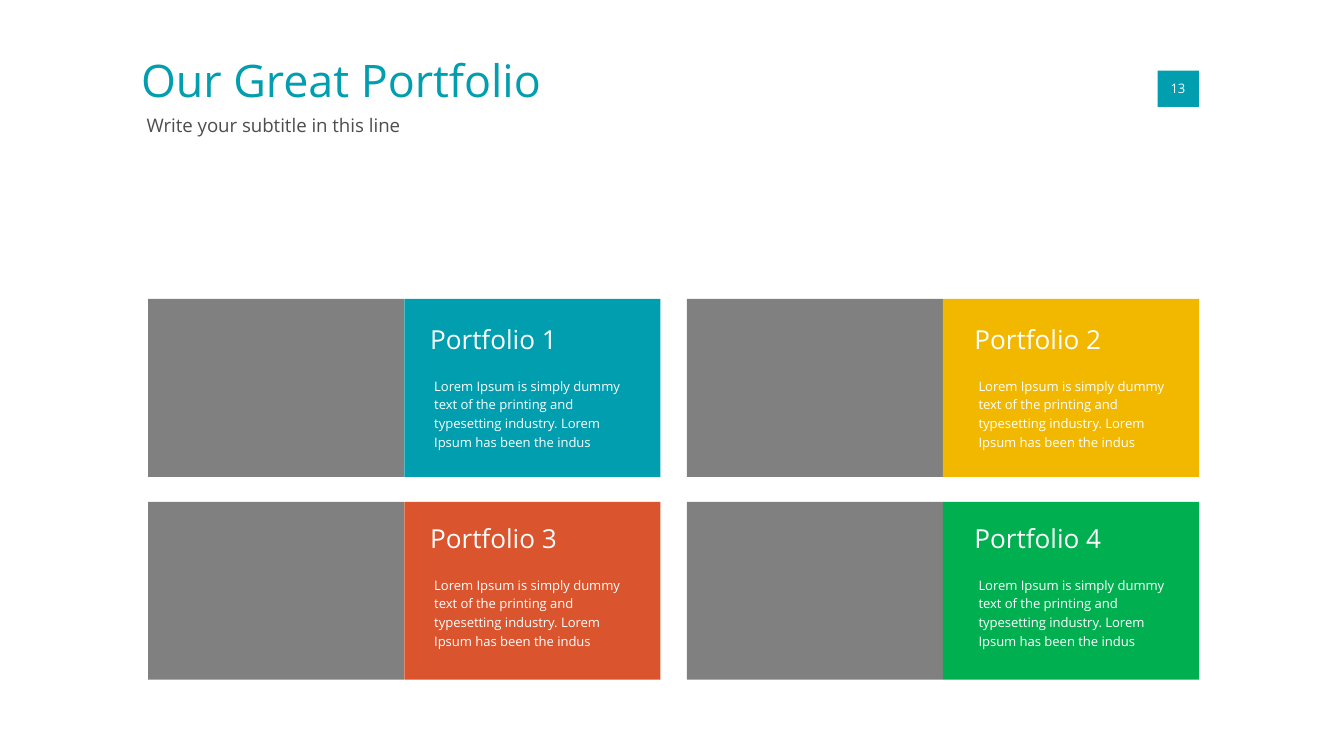
from dataclasses import dataclass

from pptx import Presentation
from pptx.dml.color import RGBColor
from pptx.enum.shapes import MSO_SHAPE as Shape
from pptx.enum.text import MSO_ANCHOR as Anchor, MSO_AUTO_SIZE as AutoSize, PP_ALIGN as Align
from pptx.shapes.base import BaseShape
from pptx.slide import Slide
from pptx.util import Pt

FONT = "Open Sans"
COLORS = {
    "teal": "009EAF",
    "yellow": "F2B800",
    "orange": "DA542D",
    "green": "00B050",
    "gray": "808080",
    "text": "4D4D4D",
    "white": "FFFFFF",
}
BLURB = (
    "Lorem Ipsum is simply dummy text of the printing and "
    "typesetting industry. Lorem Ipsum has been the indus"
)
CARD_LEFT, CARD_TOP = 79.4, 160.2
CARD_PITCH_X, CARD_PITCH_Y = 288.6, 108.7
PANEL_WIDTH, PANEL_HEIGHT = 137.2, 95.3
HEADING_LEFT, HEADING_TOP = 230.4, 173.5
HEADING_PITCH_X, HEADING_PITCH_Y = 291.6, 106.6


@dataclass(frozen=True)
class Box:
    left: float
    top: float
    width: float
    height: float


@dataclass(frozen=True)
class Card:
    heading: str
    color: str
    column: int
    row: int


CARDS = [
    Card("Portfolio 1", "teal", 0, 0),
    Card("Portfolio 2", "yellow", 1, 0),
    Card("Portfolio 3", "orange", 0, 1),
    Card("Portfolio 4", "green", 1, 1),
]


def rgb(color: str) -> RGBColor:
    return RGBColor.from_string(COLORS[color])


def draw_panel(slide: Slide, box: Box, color: str) -> None:
    panel = slide.shapes.add_shape(
        Shape.RECTANGLE, Pt(box.left), Pt(box.top), Pt(box.width), Pt(box.height)
    )
    panel.shadow.inherit = False
    panel.fill.solid()
    panel.fill.fore_color.rgb = rgb(color)
    panel.line.fill.background()


def write(holder: BaseShape, box: Box, text: str, size: float, color: str,
          spacing: float = 1.0, align: Align = Align.LEFT,
          anchor: Anchor = Anchor.TOP, wrap: bool = True) -> None:
    holder.left, holder.top = Pt(box.left), Pt(box.top)
    holder.width, holder.height = Pt(box.width), Pt(box.height)
    frame = holder.text_frame
    frame.text = text
    frame.auto_size = AutoSize.NONE
    frame.word_wrap = wrap
    frame.vertical_anchor = anchor
    frame.margin_left = frame.margin_right = frame.margin_top = frame.margin_bottom = 0
    paragraph = frame.paragraphs[0]
    paragraph.alignment = align
    paragraph.line_spacing = spacing
    paragraph.space_before = Pt(0)
    for run in paragraph.runs:
        run.font.name = FONT
        run.font.size = Pt(size)
        run.font.color.rgb = rgb(color)


def add_label(slide: Slide, box: Box, text: str, size: float, color: str, **layout) -> None:
    write(slide.shapes.add_textbox(0, 0, 0, 0), box, text, size, color, **layout)


def draw_card(slide: Slide, card: Card) -> None:
    left = CARD_LEFT + card.column * CARD_PITCH_X
    top = CARD_TOP + card.row * CARD_PITCH_Y
    for index, color in enumerate(("gray", card.color)):
        panel = Box(left + index * PANEL_WIDTH, top, PANEL_WIDTH, PANEL_HEIGHT)
        draw_panel(slide, panel, color)
    text_left = HEADING_LEFT + card.column * HEADING_PITCH_X
    text_top = HEADING_TOP + card.row * HEADING_PITCH_Y
    add_label(slide, Box(text_left, text_top, 94.3, 21.6), card.heading, 14, "white")
    add_label(slide, Box(text_left + 2.2, text_top + 27.4, 101.5, 40.3), BLURB, 7, "white",
              spacing=1.2)


def main() -> None:
    """Build the portfolio slide."""
    deck = Presentation()
    deck.slide_width, deck.slide_height = Pt(720), Pt(405)
    slide = deck.slides.add_slide(deck.slide_layouts[0])
    write(slide.shapes.title, Box(75.6, 28.1, 342.7, 35.3), "Our Great Portfolio", 24, "teal")
    write(slide.placeholders[1], Box(78.5, 61.2, 497.5, 16.6),
          "Write your subtitle in this line", 10, "text")
    for card in CARDS:
        draw_card(slide, card)
    draw_panel(slide, Box(620.2, 37.9, 22.1, 19.4), "teal")
    add_label(slide, Box(627.1, 43.2, 7.9, 8.6), "13", 7, "white",
              align=Align.CENTER, anchor=Anchor.MIDDLE, wrap=False)
    deck.save("out.pptx")


if __name__ == "__main__":
    main()
